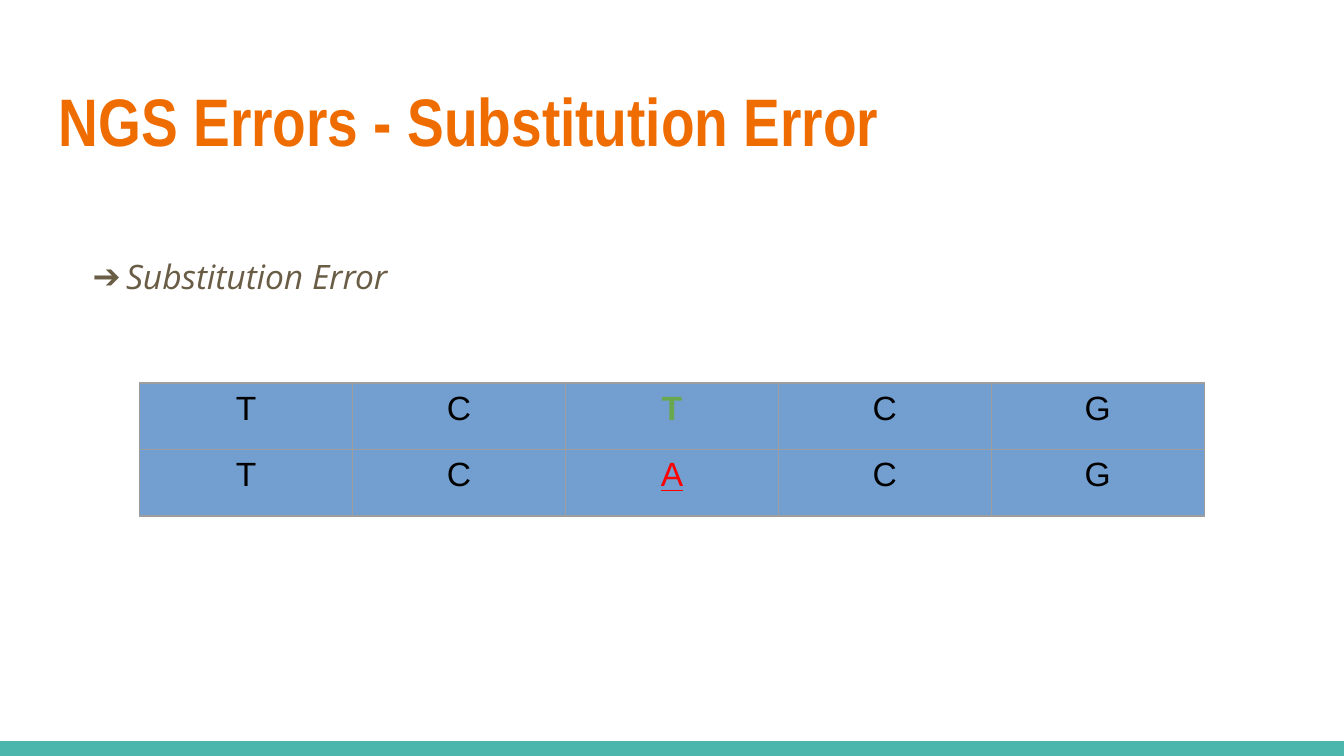
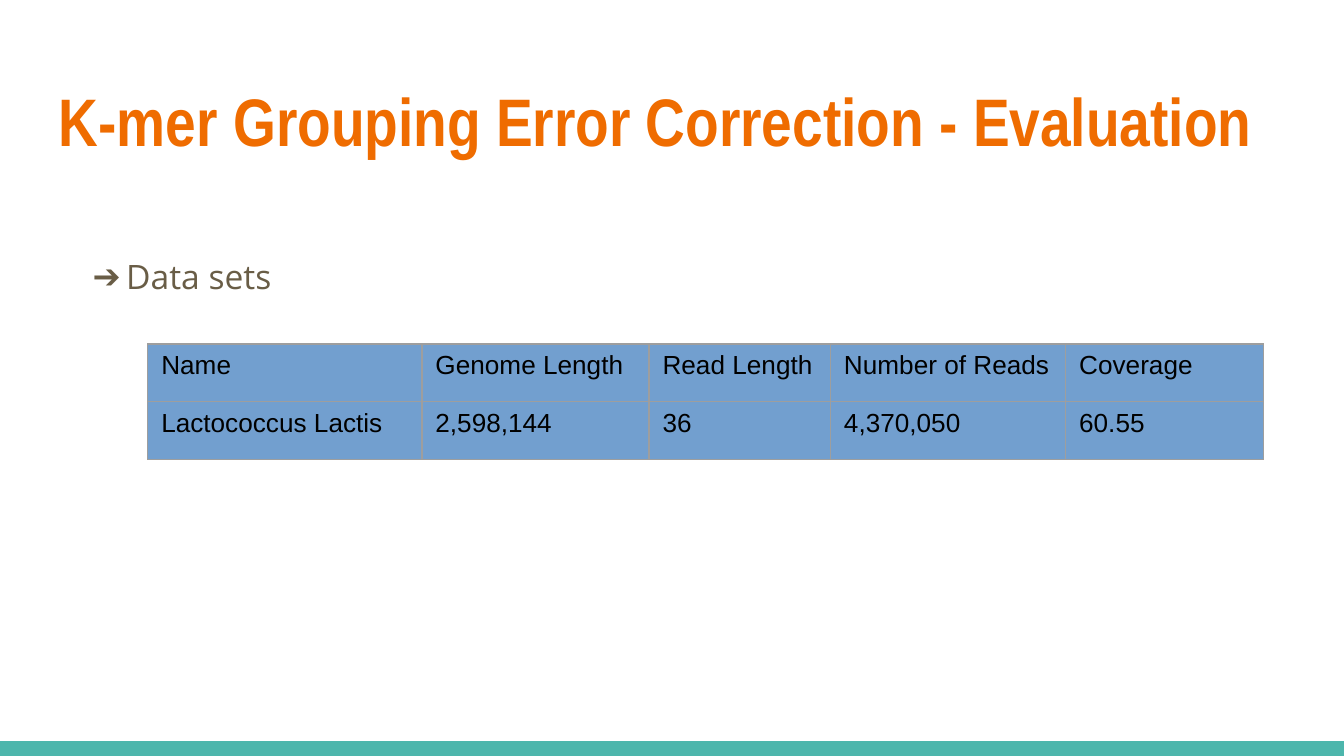
from pptx import Presentation
from pptx.dml.color import RGBColor
from pptx.enum.shapes import MSO_SHAPE as Shape
from pptx.enum.text import MSO_ANCHOR as Anchor, PP_ALIGN as Align
from pptx.oxml import parse_xml
from pptx.oxml.ns import nsdecls
from pptx.util import Inches, Pt

# Content
SLIDES = [
    dict(
        title="NGS Errors - Substitution Error",
        point="Substitution Error", italic=True,
        rows=["TCTCG", "TCACG"],
        marks={(0, 2): dict(color="6AA84F", bold=True),
               (1, 2): dict(color="FF0000", under=True)},
        left=1.04, top=2.85, cols=[7.92 / 5] * 5, high=0.99,
        size=18, align=Align.CENTER),
    dict(
        title="K-mer Grouping Error Correction - Evaluation",
        point="Data sets", italic=False,
        rows=[("Name", "Genome Length", "Read Length",
               "Number of Reads", "Coverage"),
              ("Lactococcus Lactis", "2,598,144", "36",
               "4,370,050", "60.55")],
        marks={},
        left=1.1, top=2.56, cols=[2.04, 1.69, 1.35, 1.75, 1.47], high=0.86,
        size=14, align=Align.LEFT),
]

# Shared look
WIDE = 10
TALL = WIDE * 9 / 16
SIDE, BAND, PAD = 0.34, 0.11, 0.1
ORANGE, BROWN, TEAL = "EF6C00", "695D46", "4DB6AC"
BLUE, GREY, BLACK = "729FCF", "9E9E9E", "000000"


def paint(fill, color):
    fill.solid()
    fill.fore_color.rgb = RGBColor.from_string(color)


def write(para, text, font="Arial", size=18, color=BLACK, bold=False,
          italic=False, under=False, align=Align.LEFT):
    para.alignment = align
    run = para.add_run()
    run.text = text
    face = run.font
    face.name, face.size = font, Pt(size)
    face.bold, face.italic, face.underline = bold, italic, under
    face.color.rgb = RGBColor.from_string(color)


def add_box(slide, top, high, head=PAD):
    box = slide.shapes.add_textbox(Inches(SIDE), Inches(top),
                                   Inches(WIDE - 2 * SIDE), Inches(high))
    frame = box.text_frame
    frame.word_wrap = True
    frame.margin_left = frame.margin_right = frame.margin_bottom = Inches(PAD)
    frame.margin_top = Inches(head)
    frame.vertical_anchor = Anchor.TOP
    return frame.paragraphs[0]


def add_arrow(para):
    props = para._p.get_or_add_pPr()
    props.set("marL", str(Inches(0.5)))
    props.set("indent", str(Inches(-0.25)))
    para.space_after = Pt(16)
    for part in (f'<a:buClr {nsdecls("a")}><a:srgbClr val="{BROWN}"/></a:buClr>',
                 f'<a:buFont {nsdecls("a")} typeface="Open Sans"/>',
                 f'<a:buChar {nsdecls("a")} char="➔"/>'):
        props.append(parse_xml(part))


def add_edges(cell):
    props = cell._tc.get_or_add_tcPr()
    for spot, side in enumerate("LRTB"):
        props.insert(spot, parse_xml(
            f'<a:ln{side} {nsdecls("a")} w="{Pt(0.75)}"><a:solidFill>'
            f'<a:srgbClr val="{GREY}"/></a:solidFill></a:ln{side}>'))


def add_grid(slide, data):
    rows, cols, high = data["rows"], data["cols"], data["high"]
    table = slide.shapes.add_table(
        len(rows), len(cols), Inches(data["left"]), Inches(data["top"]),
        Inches(sum(cols)), Inches(high)).table
    table.first_row = table.horz_banding = False
    for col, wide in zip(table.columns, cols):
        col.width = Inches(wide)
    for r, row in enumerate(rows):
        table.rows[r].height = Inches(high / len(rows))
        for c, text in enumerate(row):
            cell = table.cell(r, c)
            paint(cell.fill, BLUE)
            add_edges(cell)
            write(cell.text_frame.paragraphs[0], text, size=data["size"],
                  align=data["align"], **data["marks"].get((r, c), {}))


def add_band(slide):
    band = slide.shapes.add_shape(Shape.RECTANGLE, 0, Inches(TALL - BAND),
                                  Inches(WIDE), Inches(BAND))
    band.shadow.inherit = False
    paint(band.fill, TEAL)
    band.line.fill.background()


def main():
    deck = Presentation()
    deck.slide_width, deck.slide_height = Inches(WIDE), Inches(TALL)
    for data in SLIDES:
        slide = deck.slides.add_slide(deck.slide_layouts[6])
        add_band(slide)
        write(add_box(slide, 0.49, 0.77), data["title"],
              font="Arial Narrow", size=36, color=ORANGE, bold=True)
        # The head room leaves one clear line above the point
        point = add_box(slide, 1.39, 3.61, head=0.82)
        add_arrow(point)
        write(point, data["point"], font="Open Sans", color=BROWN,
              italic=data["italic"])
        add_grid(slide, data)
    deck.save("out.pptx")


if __name__ == "__main__":
    main()
